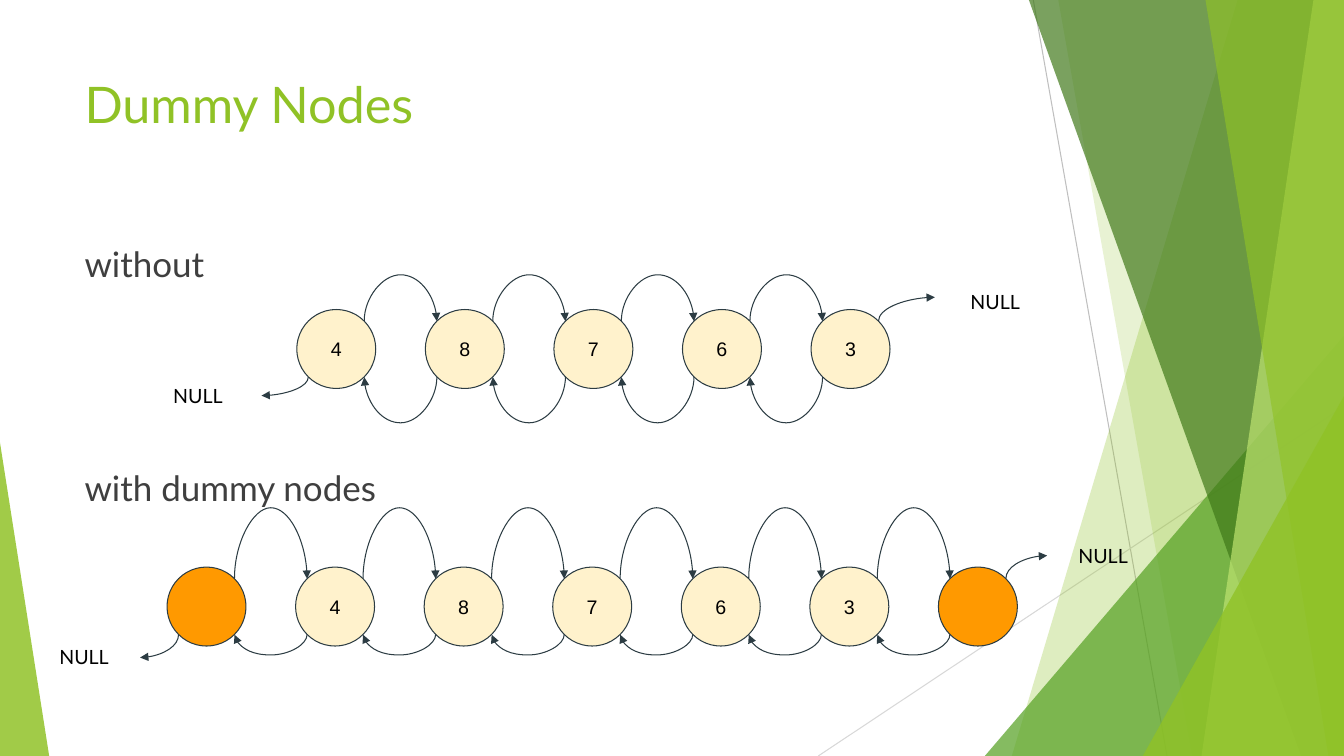
import pptx
import pptx.util
import pptx.dml.color
import pptx.enum.shapes
import pptx.enum.text
import pptx.oxml.ns
from lxml import etree

Cm = pptx.util.Cm
qn = pptx.oxml.ns.qn
SHAPES = pptx.enum.shapes.MSO_SHAPE
CONNECTORS = pptx.enum.shapes.MSO_CONNECTOR
ALIGN = pptx.enum.text.PP_ALIGN
ANCHOR = pptx.enum.text.MSO_ANCHOR

WIDTH, HEIGHT = 33.87, 19.05
NODE = 1.99                # node diameter
PITCH = 3.24               # distance between neighbouring nodes
INSET = round(NODE * 0.1464, 2)  # box corner to the circle's 45-degree point


def colour(value):
    return pptx.dml.color.RGBColor.from_string(value)


class SlideBuilder:
    font = "Lato"
    node_font = "Arial"
    ink = "2C3C43"
    green = "90C226"
    node_fill = "FFF2CC"
    dummy_fill = "FF9900"

    def __init__(self, slide):
        self.slide = slide
        self.shapes = slide.shapes

    def add_text(self, paragraph, text, size, color, font=None):
        run = paragraph.add_run()
        run.text = text
        run.font.name = font or self.font
        run.font.size = pptx.util.Pt(size)
        run.font.color.rgb = colour(color)

    def frame(self, shape, anchor, vertical_margin):
        text_frame = shape.text_frame
        text_frame.word_wrap = True
        text_frame.auto_size = pptx.enum.text.MSO_AUTO_SIZE.NONE
        text_frame.vertical_anchor = anchor
        text_frame.margin_left = text_frame.margin_right = Cm(0.25)
        text_frame.margin_top = text_frame.margin_bottom = Cm(vertical_margin)
        return text_frame

    def placeholder(self, index, top, height, lines, size, color, gap=0):
        shape = self.slide.placeholders[index]
        shape.left, shape.top = Cm(1.88), Cm(top)
        shape.width, shape.height = Cm(23.88), Cm(height)
        text_frame = self.frame(shape, ANCHOR.TOP, 0.13)
        for number, line in enumerate(lines):
            paragraph = text_frame.add_paragraph() if number else text_frame.paragraphs[0]
            properties = paragraph._p.get_or_add_pPr()
            properties.set("marL", "0")
            properties.set("indent", "0")
            etree.SubElement(properties, qn("a:buNone"))
            paragraph.alignment = ALIGN.LEFT
            paragraph.space_before = pptx.util.Pt(gap if number else 0)
            self.add_text(paragraph, line, size, color)

    def tint(self, shape, color, opacity):
        shape.shadow.inherit = False
        shape.fill.solid()
        shape.fill.fore_color.rgb = colour(color)
        shape.line.fill.background()
        alpha = etree.SubElement(shape.fill._xPr.find(".//" + qn("a:srgbClr")), qn("a:alpha"))
        alpha.set("val", str(opacity * 1000))

    def panel(self, color, opacity, top_x, bottom_x):
        """Band from a slanted left edge to the right edge of the slide."""
        builder = self.shapes.build_freeform(Cm(top_x), 0)
        builder.add_line_segments([(Cm(WIDTH), 0), (Cm(WIDTH), Cm(HEIGHT)),
                                   (Cm(bottom_x), Cm(HEIGHT))])
        self.tint(builder.convert_to_shape(), color, opacity)

    def corner(self, color, opacity, left, right, top, apex):
        """Right triangle standing on the bottom edge of the slide."""
        shape = self.shapes.add_shape(SHAPES.ISOSCELES_TRIANGLE, Cm(left), Cm(top),
                                      Cm(right - left), Cm(HEIGHT - top))
        shape.adjustments[0] = apex
        self.tint(shape, color, opacity)

    def line(self, start, end, color, kind=CONNECTORS.STRAIGHT):
        connector = self.shapes.add_connector(kind, *[Cm(value) for value in (*start, *end)])
        connector.line.width = pptx.util.Pt(0.75)
        connector.line.color.rgb = colour(color)
        etree.SubElement(connector._element.spPr, qn("a:effectLst"))
        return connector

    def curve(self, start, end, depth=None):
        """Arrow going up when heading right, down when heading left.

        With a depth it is an arch between level ends, otherwise a quarter bend.
        """
        (x1, y1), (x2, y2) = start, end
        rightward = x2 > x1
        middle_x, middle_y = (x1 + x2) / 2, (y1 + y2) / 2
        thickness = 0.01 if depth else abs(y2 - y1)
        side = -thickness / 2 if depth and rightward else thickness / 2
        half = abs(x2 - x1) / 2
        connector = self.line((middle_x - side, middle_y - half),
                              (middle_x + side, middle_y + half),
                              self.ink, CONNECTORS.CURVE)
        properties = connector._element.spPr
        properties.find(qn("a:xfrm")).set("rot", str((270 if rightward else 90) * 60000))
        geometry = properties.find(qn("a:prstGeom"))
        if depth:
            ratio = depth / thickness * (-1 if rightward else 1)
            guide = etree.SubElement(geometry.find(qn("a:avLst")), qn("a:gd"))
            guide.set("name", "adj1")
            guide.set("fmla", f"val {round(ratio * 100000)}")
        else:
            geometry.set("prst", "curvedConnector2")
        tail = etree.SubElement(properties.find(qn("a:ln")), qn("a:tailEnd"))
        tail.set("type", "triangle")

    def node(self, left, top, value):
        shape = self.shapes.add_shape(SHAPES.OVAL, Cm(left), Cm(top), Cm(NODE), Cm(NODE))
        shape.shadow.inherit = False
        shape.fill.solid()
        shape.fill.fore_color.rgb = colour(self.node_fill if value else self.dummy_fill)
        shape.line.color.rgb = colour(self.ink)
        shape.line.width = pptx.util.Pt(0.75)
        if value:
            paragraph = self.frame(shape, ANCHOR.MIDDLE, 0.25).paragraphs[0]
            paragraph.alignment = ALIGN.CENTER
            self.add_text(paragraph, value, 14, "000000", self.node_font)

    def null_label(self, left, top):
        box = self.shapes.add_textbox(Cm(left), Cm(top), Cm(2.82), Cm(1.12))
        paragraph = self.frame(box, ANCHOR.TOP, 0.25).paragraphs[0]
        paragraph.alignment = ALIGN.CENTER
        self.add_text(paragraph, "NULL", 14, "000000")

    def linked_list(self, left, top, values, depths, tails, labels):
        lefts = [left + PITCH * number for number in range(len(values))]
        upper, lower = top + INSET, top + NODE - INSET
        for node_left, value in zip(lefts, values):
            self.node(node_left, top, value)
        for first, second in zip(lefts, lefts[1:]):
            exit_x, entry_x = first + NODE - INSET, second + INSET
            self.curve((exit_x, upper), (entry_x, upper), depths[0])
            self.curve((entry_x, lower), (exit_x, lower), depths[1])
        ends = (lefts[-1] + NODE - INSET, upper), (lefts[0] + INSET, lower)
        for (x, y), (dx, dy), label in zip(ends, tails, labels):
            self.curve((x, y), (x + dx, y + dy))
            self.null_label(*label)


def main():
    presentation = pptx.Presentation()
    presentation.slide_width, presentation.slide_height = Cm(WIDTH), Cm(HEIGHT)
    builder = SlideBuilder(presentation.slides.add_slide(presentation.slide_layouts[1]))

    # Green backdrop
    builder.line((26.04, 0), (29.41, HEIGHT), "BFBFBF")
    builder.line((WIDTH, 10.24), (20.62, HEIGHT), "D8D8D8")
    builder.panel(builder.green, 29, 31.19, 25.5)
    builder.panel(builder.green, 20, 26.67, 30.05)
    builder.corner("54A021", 71, 24.82, WIDTH, 8.46, 1)
    builder.panel("3F7818", 69, 25.93, 32.79)
    builder.panel("BFE471", 69, 33.1, 30.28)
    builder.panel(builder.green, 64, 30.38, 33.48)
    builder.corner(builder.green, 80, 28.8, WIDTH, 9.98, 1)
    builder.corner(builder.green, 84, 0, 1.24, 11.15, 0)

    # Title and captions
    builder.placeholder(0, 1.7, 3.66, ["Dummy Nodes"], 36, builder.green)
    builder.placeholder(1, 5.99, 10.77, ["without", "with dummy nodes"], 25, "3F3F3F", gap=130)

    # List with a dummy node (None) at each end
    numbers = ["4", "8", "7", "6", "3"]
    builder.linked_list(4.21, 14.29, [None, *numbers, None], depths=(1.78, 0.52),
                        tails=[(1.04, -0.58), (-0.97, 0.58)],
                        labels=[(26.39, 13.46), (0.71, 16)])

    # List without dummy nodes
    builder.linked_list(7.48, 7.8, numbers, depths=(1.16, 1.16),
                        tails=[(1.42, -0.6), (-1.18, 0.47)],
                        labels=[(23.67, 7.06), (3.58, 9.42)])

    presentation.save("out.pptx")


if __name__ == "__main__":
    main()
